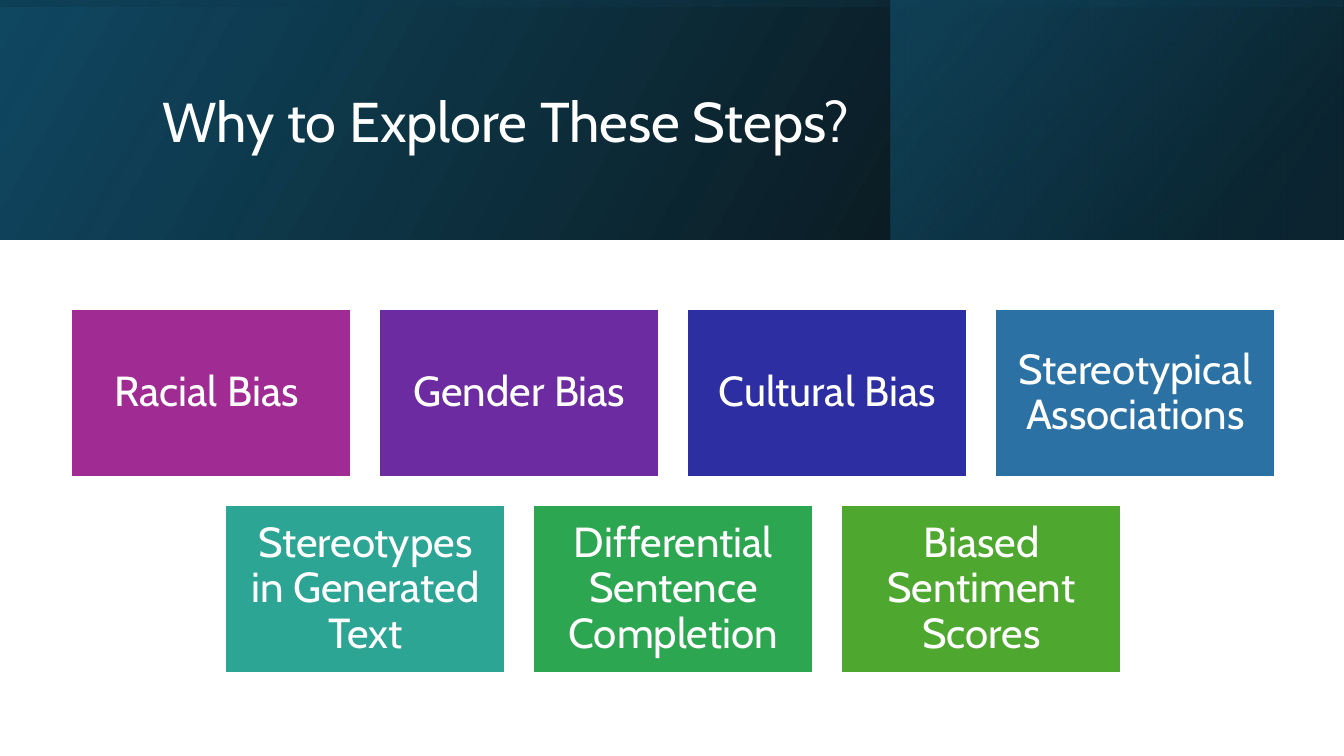
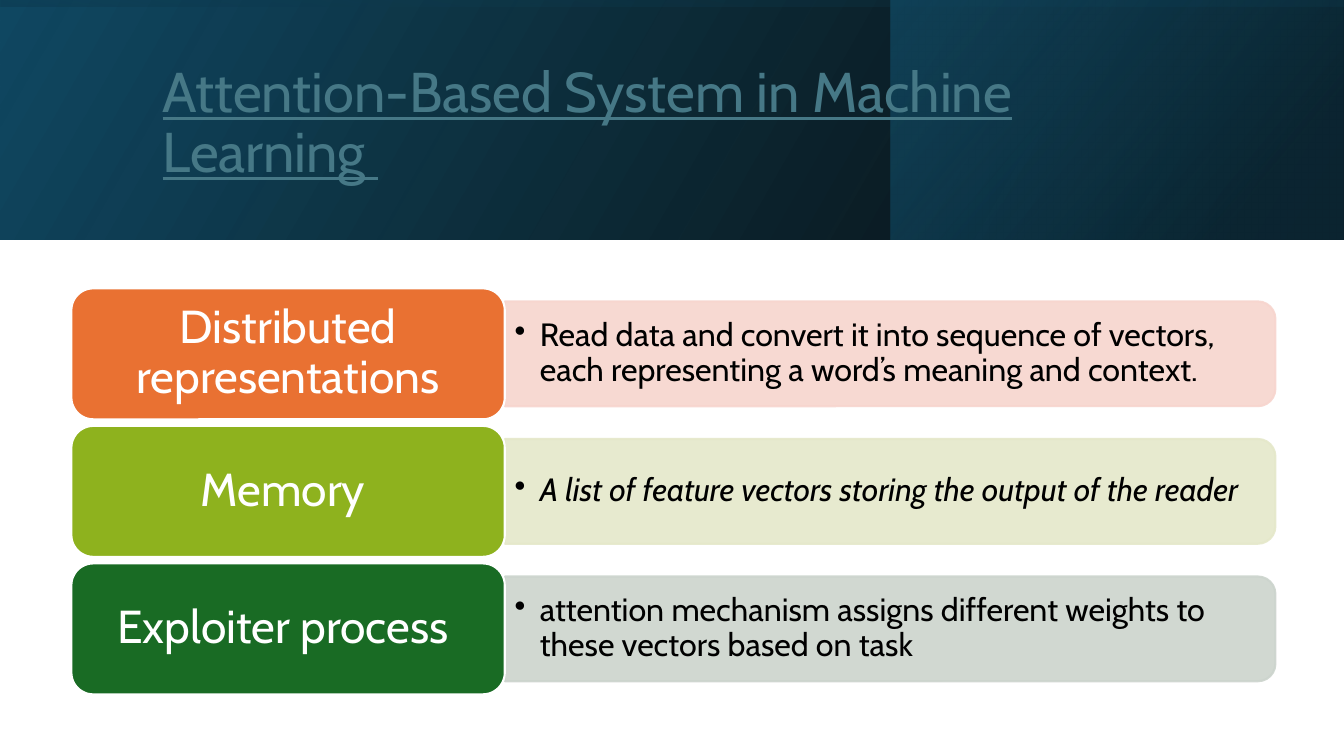
from collections import namedtuple
from dataclasses import dataclass

from lxml import etree
from pptx import Presentation
from pptx.dml.color import RGBColor
from pptx.enum.shapes import MSO_SHAPE
from pptx.enum.text import MSO_ANCHOR, MSO_AUTO_SIZE, PP_ALIGN
from pptx.oxml.ns import qn
from pptx.util import Pt

RECTANGLE = MSO_SHAPE.RECTANGLE
ROUNDED = MSO_SHAPE.ROUNDED_RECTANGLE
ROUNDED_END = MSO_SHAPE.ROUND_2_SAME_RECTANGLE
LEFT, CENTER = PP_ALIGN.LEFT, PP_ALIGN.CENTER
MIDDLE = MSO_ANCHOR.MIDDLE
NO_AUTOFIT = MSO_AUTO_SIZE.NONE
TITLE_ONLY = 5

Box = namedtuple("Box", "left top width height")
Stop = namedtuple("Stop", "position color opacity")


@dataclass(frozen=True)
class Theme:
    font: str = "Cabin"
    white: str = "FFFFFF"
    black: str = "000000"
    link: str = "467886"
    navy: str = "104862"
    deep_teal: str = "0B3041"
    teal: str = "156082"
    title_size: int = 40
    tile_size: int = 30
    stage_size: int = 33
    detail_size: int = 23
    line_width: float = 1.5
    line_spacing: float = 0.9


THEME = Theme()
PAGE = Box(0, 0, 960, 540)
BAND = Box(0, 0, 960, 171)
TITLE = Box(109, 27, 765, 124)
TILE_AREA = Box(51, 221, 860, 260)
STAGE_AREA = Box(51, 206, 860, 290)

TILES = [
    [("Racial Bias ", "A02B93"), ("Gender Bias", "6C2BA1"),
     ("Cultural Bias", "2C2EA2"), ("Stereotypical Associations", "2C71A4")],
    [("Stereotypes in Generated Text", "2DA594"),
     ("Differential Sentence Completion", "2DA651"),
     ("Biased Sentiment Scores", "4EA72E")],
]

STAGES = [
    ("Distributed representations", "E97132", "F7D5CE", False,
     "Read data and convert it into sequence of vectors, "
     "each representing a word’s meaning and context."),
    ("Memory ", "8EB21E", "E5E8CA", True,
     "A list of feature vectors storing the output of the reader"),
    ("Exploiter process ", "196B24", "CCD4CD", False,
     "attention mechanism assigns different weights to "
     "these vectors based on task"),
]


def rgb(value):
    return RGBColor.from_string(value)


def points(box):
    return [Pt(round(length, 2)) for length in box]


def write(shape, text, *, size, color=THEME.white, align=CENTER,
          insets=(7.2, 3.6), italic=False, underline=False, bullet_indent=0):
    frame = shape.text_frame
    frame.word_wrap = True
    frame.auto_size = NO_AUTOFIT
    frame.vertical_anchor = MIDDLE
    frame.margin_left = frame.margin_right = Pt(insets[0])
    frame.margin_top = frame.margin_bottom = Pt(insets[1])
    para = frame.paragraphs[0]
    para.alignment = align
    para.line_spacing = THEME.line_spacing
    if bullet_indent:
        properties = para._p.get_or_add_pPr()
        properties.set("marL", str(Pt(bullet_indent)))
        properties.set("indent", str(-Pt(bullet_indent)))
        etree.SubElement(properties, qn("a:buChar")).set("char", "•")
    span = para.add_run()
    span.text = text
    span.font.name = THEME.font
    span.font.size = Pt(size)
    span.font.color.rgb = rgb(color)
    span.font.italic = italic
    span.font.underline = underline


def add_panel(page, kind, box, rotation=0):
    left, top, width, height = box
    if rotation in (90, 270):
        shift = (width - height) / 2
        box = Box(left + shift, top - shift, height, width)
    panel = page.shapes.add_shape(kind, *points(box))
    panel.rotation = rotation
    panel.shadow.inherit = False
    return panel


def paint(panel, fill, line):
    panel.fill.solid()
    panel.fill.fore_color.rgb = rgb(fill)
    panel.line.color.rgb = rgb(line)
    panel.line.width = Pt(THEME.line_width)


def set_opacity(panel, percents):
    colors = panel._element.spPr.iter(qn("a:srgbClr"))
    for color, percent in zip(list(colors), percents):
        etree.SubElement(color, qn("a:alpha")).set("val", str(percent * 1000))


def add_gradient(page, box, angle, stops, rotation=0):
    panel = add_panel(page, RECTANGLE, box, rotation)
    panel._element.spPr.xfrm.set("flipH", "1")
    panel.line.fill.background()
    panel.fill.gradient()
    panel.fill.gradient_angle = angle
    for target, stop in zip(panel.fill.gradient_stops, stops):
        target.position = stop.position
        target.color.rgb = rgb(stop.color)
    set_opacity(panel, [stop.opacity for stop in stops])


def draw_band(page, box):
    accent_left = box.left + 636.5
    accent = Box(accent_left, box.top, 323, box.height)
    add_gradient(page, box, 30, [Stop(0, THEME.black, 96),
                                 Stop(1, THEME.navy, 100)])
    add_gradient(page, accent, 40, [Stop(0.19, THEME.deep_teal, 68),
                                    Stop(1, THEME.teal, 48)])
    add_gradient(page, box, 10, [Stop(0.23, THEME.navy, 16),
                                 Stop(0.99, THEME.black, 45)], rotation=270)


def add_page(deck, text, color=THEME.white, underline=False):
    page = deck.slides.add_slide(deck.slide_layouts[TITLE_ONLY])
    draw_band(page, BAND)
    title = page.shapes.title
    title.left, title.top, title.width, title.height = points(TITLE)
    write(title, text, size=THEME.title_size, color=color, align=LEFT,
          underline=underline)
    page.shapes._spTree.append(title._element)
    return page


def draw_tiles(page, box, rows, gap=20):
    columns = max(len(row) for row in rows)
    width = (box.width - gap * (columns - 1)) / columns
    height = (box.height - gap * (len(rows) - 1)) / len(rows)
    for row_index, row in enumerate(rows):
        row_width = len(row) * (width + gap) - gap
        row_left = box.left + (box.width - row_width) / 2
        top = box.top + row_index * (height + gap)
        for column, (text, color) in enumerate(row):
            left = row_left + column * (width + gap)
            tile = add_panel(page, RECTANGLE, Box(left, top, width, height))
            paint(tile, color, THEME.white)
            write(tile, text, size=THEME.tile_size, insets=(8.6, 8.6))


def draw_stage(page, box, stage):
    name, color, tint, italic, detail = stage
    name_box = box._replace(width=box.width * 0.36)
    bar_box = Box(box.left + name_box.width, box.top + box.height * 0.1,
                  box.width * 0.64, box.height * 0.8)
    bar = add_panel(page, ROUNDED_END, bar_box, rotation=90)
    paint(bar, tint, tint)
    set_opacity(bar, [90, 90])
    text_box = bar_box._replace(width=bar_box.width - 3.6)
    write(page.shapes.add_textbox(*points(text_box)), detail,
          size=THEME.detail_size, color=THEME.black, align=LEFT,
          italic=italic, bullet_indent=18)
    label = add_panel(page, ROUNDED, name_box)
    paint(label, color, THEME.white)
    write(label, name, size=THEME.stage_size, insets=(10, 5))


def draw_stages(page, box, stages, gap=4.7):
    height = (box.height - gap * (len(stages) - 1)) / len(stages)
    for index, stage in enumerate(stages):
        top = box.top + index * (height + gap)
        draw_stage(page, box._replace(top=top, height=height), stage)


def main():
    deck = Presentation()
    deck.slide_width, deck.slide_height = Pt(PAGE.width), Pt(PAGE.height)
    draw_tiles(add_page(deck, "Why to Explore These Steps?"),
               TILE_AREA, TILES)
    attention = add_page(deck, "Attention-Based System in Machine Learning ",
                         color=THEME.link, underline=True)
    draw_stages(attention, STAGE_AREA, STAGES)
    deck.save("out.pptx")


if __name__ == "__main__":
    main()
